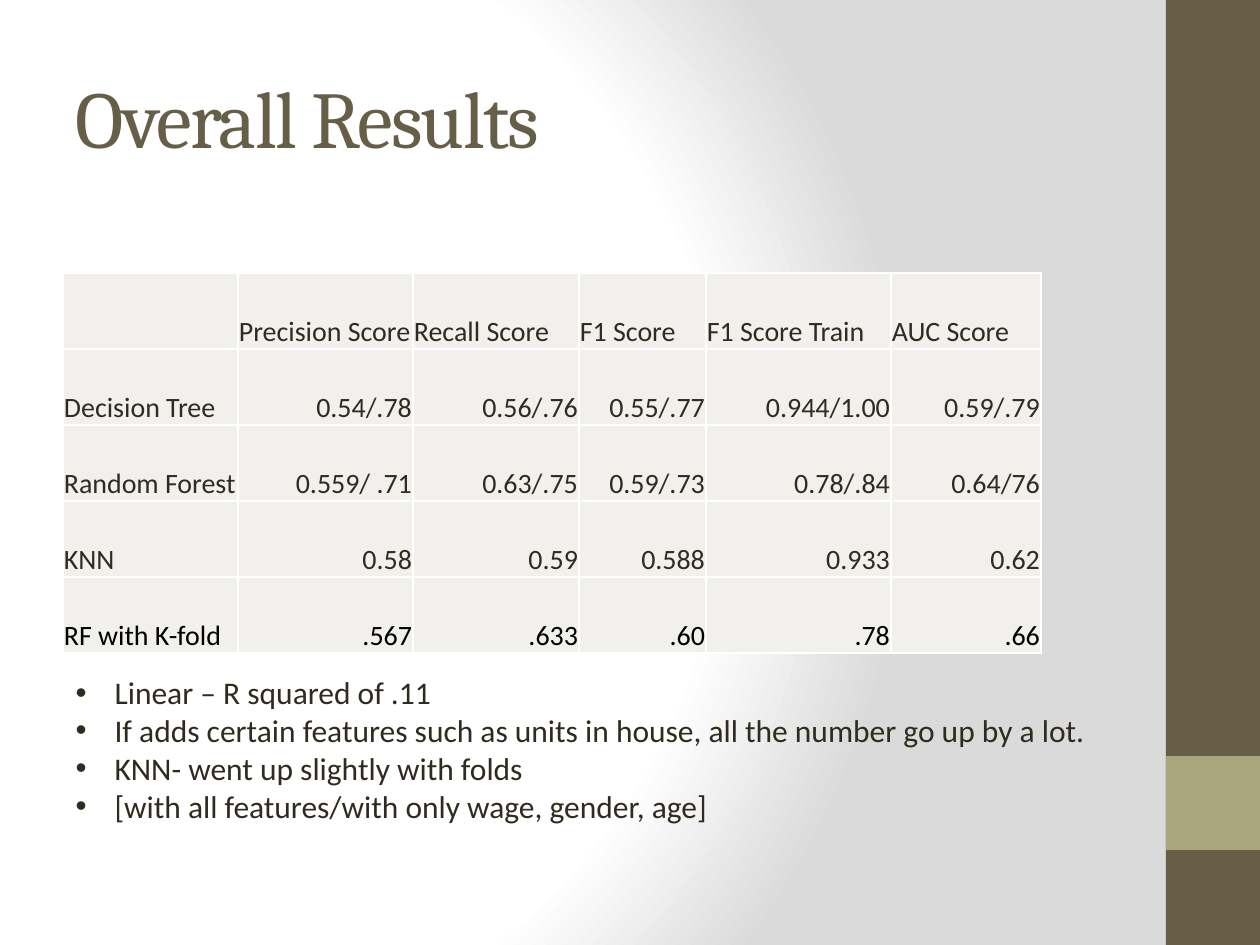
import dataclasses

import lxml.etree
import pptx
import pptx.dml.color
import pptx.enum.shapes
import pptx.enum.text
import pptx.oxml
import pptx.oxml.ns
import pptx.util

PX_PER_INCH = 126
ALIGN = pptx.enum.text.PP_ALIGN
ANCHOR = pptx.enum.text.MSO_ANCHOR


@dataclasses.dataclass(frozen=True)
class Theme:
    heading_font: str = "Cambria"
    body_font: str = "Calibri"
    title_size: int = 46
    list_size: int = 18
    table_size: int = 16
    brown: str = "675E47"
    olive: str = "A9A57C"
    ink: str = "2F2B20"
    black: str = "000000"
    cell: str = "F1F0EC"
    white: str = "FFFFFF"
    grey: str = "DADADA"


def px(length):
    return pptx.util.Emu(round(length * pptx.util.Inches(1) / PX_PER_INCH))


def rgb(color):
    return pptx.dml.color.RGBColor.from_string(color)


def add_xml(parent, tag, **attributes):
    return lxml.etree.SubElement(parent, pptx.oxml.ns.qn(tag), attributes)


class SlideBuilder:
    def __init__(self, slide, theme):
        self.slide = slide
        self.theme = theme

    def place(self, shape, left, top, width, height):
        shape.left, shape.top = px(left), px(top)
        shape.width, shape.height = px(width), px(height)

    def style(self, paragraph, font, size, color):
        for run in paragraph.runs:
            run.font.name = font
            run.font.size = pptx.util.Pt(size)
            run.font.color.rgb = rgb(color)

    def background(self):
        fill = self.slide.background.fill
        fill.gradient()
        gradient = self.slide._element.find(".//" + pptx.oxml.ns.qn("a:gradFill"))
        for child in list(gradient):
            gradient.remove(child)
        stops = add_xml(gradient, "a:gsLst")
        for position, color in ((0, self.theme.white), (75, self.theme.white), (100, self.theme.grey)):
            stop = add_xml(stops, "a:gs", pos=str(position * 1000))
            add_xml(stop, "a:srgbClr", val=color)
        circle = add_xml(gradient, "a:path", path="circle")
        add_xml(circle, "a:fillToRect", l="20000", t="50000", r="100000", b="50000")

    def band(self, left, top, width, height, color):
        band = self.slide.shapes.add_shape(
            pptx.enum.shapes.MSO_SHAPE.RECTANGLE, px(left), px(top), px(width), px(height))
        band.shadow.inherit = False
        band.fill.solid()
        band.fill.fore_color.rgb = rgb(color)
        band.line.fill.background()

    def title(self, text, *bounds):
        title = self.slide.shapes.title
        self.place(title, *bounds)
        frame = title.text_frame
        frame.text = text
        frame.vertical_anchor = ANCHOR.MIDDLE
        heading = frame.paragraphs[0]
        heading.alignment = ALIGN.LEFT
        self.style(heading, self.theme.heading_font, self.theme.title_size, self.theme.brown)
        heading.runs[0].font._element.set("spc", "-100")

    def bullets(self, items, indent, *bounds):
        body = self.slide.placeholders[1]
        self.place(body, *bounds)
        frame = body.text_frame
        frame.text = "\n".join(items)
        frame.auto_size = pptx.enum.text.MSO_AUTO_SIZE.SHAPE_TO_FIT_TEXT
        for item in frame.paragraphs:
            item.space_before = pptx.util.Pt(0)
            self.style(item, self.theme.body_font, self.theme.list_size, self.theme.ink)
            properties = item._p.get_or_add_pPr()
            properties.set("marL", str(px(indent)))
            properties.set("indent", str(-px(indent)))
            add_xml(properties, "a:buFont", typeface="Arial")
            add_xml(properties, "a:buChar", char="•")

    def cell(self, cell, text, alignment, color):
        cell.text = text
        cell.vertical_anchor = ANCHOR.BOTTOM
        cell.margin_left = cell.margin_right = cell.margin_top = px(1)
        cell.margin_bottom = 0
        paragraph = cell.text_frame.paragraphs[0]
        paragraph.alignment = alignment
        self.style(paragraph, self.theme.body_font, self.theme.table_size, color)
        properties = cell._tc.get_or_add_tcPr()
        for side in ("a:lnL", "a:lnR", "a:lnT", "a:lnB"):
            border = add_xml(properties, side, w=str(pptx.util.Pt(1)))
            add_xml(add_xml(border, "a:solidFill"), "a:srgbClr", val=self.theme.white)
        cell.fill.solid()
        cell.fill.fore_color.rgb = rgb(self.theme.cell)

    def table(self, rows, left, top, widths, row_height):
        table = self.slide.shapes.add_table(
            len(rows), len(widths), px(left), px(top),
            px(sum(widths)), px(row_height * len(rows))).table
        table.first_row = table.horz_banding = False
        for column, width in zip(table.columns, widths):
            column.width = px(width)
        for r, values in enumerate(rows):
            table.rows[r].height = px(row_height)
            color = self.theme.black if r == len(rows) - 1 else self.theme.ink
            for c, value in enumerate(values):
                alignment = ALIGN.RIGHT if r and c else ALIGN.LEFT
                self.cell(table.cell(r, c), value, alignment, color)


SCORES = [
    ("", "Precision Score", "Recall Score", "F1 Score", "F1 Score Train", "AUC Score"),
    ("Decision Tree", "0.54/.78", "0.56/.76", "0.55/.77", "0.944/1.00", "0.59/.79"),
    ("Random Forest", "0.559/ .71", "0.63/.75", "0.59/.73", "0.78/.84", "0.64/76"),
    ("KNN", "0.58", "0.59", "0.588", "0.933", "0.62"),
    ("RF with K-fold", ".567", ".633", ".60", ".78", ".66"),
]
FINDINGS = [
    "Linear – R squared of .11",
    "If adds certain features such as units in house, all the number go up by a lot.",
    "KNN- went up slightly with folds",
    "[with all features/with only wage, gender, age]",
]


def main():
    presentation = pptx.Presentation()
    presentation.slide_width, presentation.slide_height = px(1260), px(945)
    theme = Theme()
    results = SlideBuilder(
        presentation.slides.add_slide(presentation.slide_layouts[1]), theme)
    results.background()
    results.band(1166, 0, 94, 945, theme.brown)
    results.band(1166, 756, 94, 94, theme.olive)
    results.title("Overall Results", 63, 38, 1050, 157)
    results.table(SCORES, 63, 273, (175, 175, 166, 127, 185, 150), 76)
    results.bullets(FINDINGS, 39, 63, 667, 1050, 165)
    presentation.save("out.pptx")


if __name__ == "__main__":
    main()
